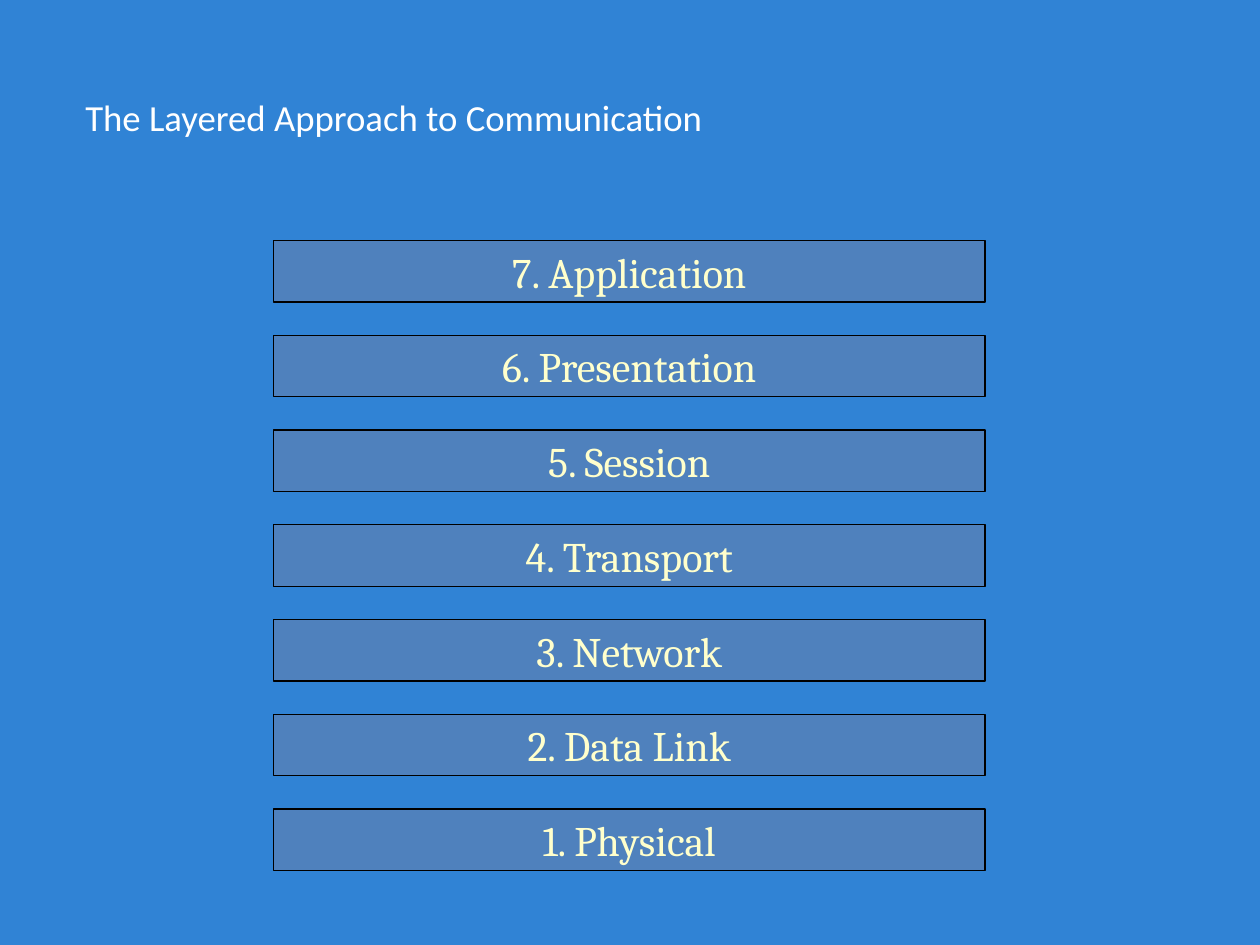
from pptx import Presentation
from pptx import util as u
from pptx.dml.color import RGBColor
from pptx.enum import shapes, text

COLORS = {
    "background": "3083D5",
    "title": "FFFFFF",
    "layer": "4F81BD",
    "outline": "000000",
    "label": "FFFFCC",
}
LAYERS = ["Physical", "Data Link", "Network", "Transport",
          "Session", "Presentation", "Application"]


class LayerSlide:
    def __init__(self, deck):
        self.slide = deck.slides.add_slide(deck.slide_layouts[5])
        self.paint(self.slide.background.fill, "background")

    def paint(self, fill, color):
        fill.solid()
        fill.fore_color.rgb = RGBColor.from_string(COLORS[color])

    def set_words(self, frame, words, font, size, color):
        frame.text = words
        frame.vertical_anchor = text.MSO_ANCHOR.MIDDLE
        paragraph = frame.paragraphs[0]
        paragraph.alignment = text.PP_ALIGN.CENTER
        paragraph.font.name = font
        paragraph.font.size = u.Pt(size)
        paragraph.font.color.rgb = RGBColor.from_string(COLORS[color])

    def title(self, words, left, top, width, height):
        heading = self.slide.shapes.title
        heading.left, heading.top = u.Cm(left), u.Cm(top)
        heading.width, heading.height = u.Cm(width), u.Cm(height)
        self.set_words(heading.text_frame, words, "Calibri", 21, "title")

    def layer(self, words, left, top, width, height):
        bar = self.slide.shapes.add_shape(
            shapes.MSO_SHAPE.RECTANGLE,
            u.Cm(left), u.Cm(top), u.Cm(width), u.Cm(height))
        bar.shadow.inherit = False
        self.paint(bar.fill, "layer")
        self.paint(bar.line.fill, "outline")
        bar.line.width = u.Pt(0.75)
        bar.text_frame.word_wrap = False
        self.set_words(bar.text_frame, words, "Cambria", 24, "label")


def main():
    deck = Presentation()
    deck.slide_width, deck.slide_height = u.Cm(25.4), u.Cm(19.05)
    page = LayerSlide(deck)
    page.title("The Layered Approach to Communication", 1.27, 0.76, 13.34, 3.18)
    bottom_top, pitch = 16.31, 1.91
    for number, name in reversed(list(enumerate(LAYERS, start=1))):
        top = bottom_top - (number - 1) * pitch
        page.layer(f"{number}. {name}", 5.51, top, 14.35, 1.24)
    deck.save("out.pptx")


if __name__ == "__main__":
    main()
